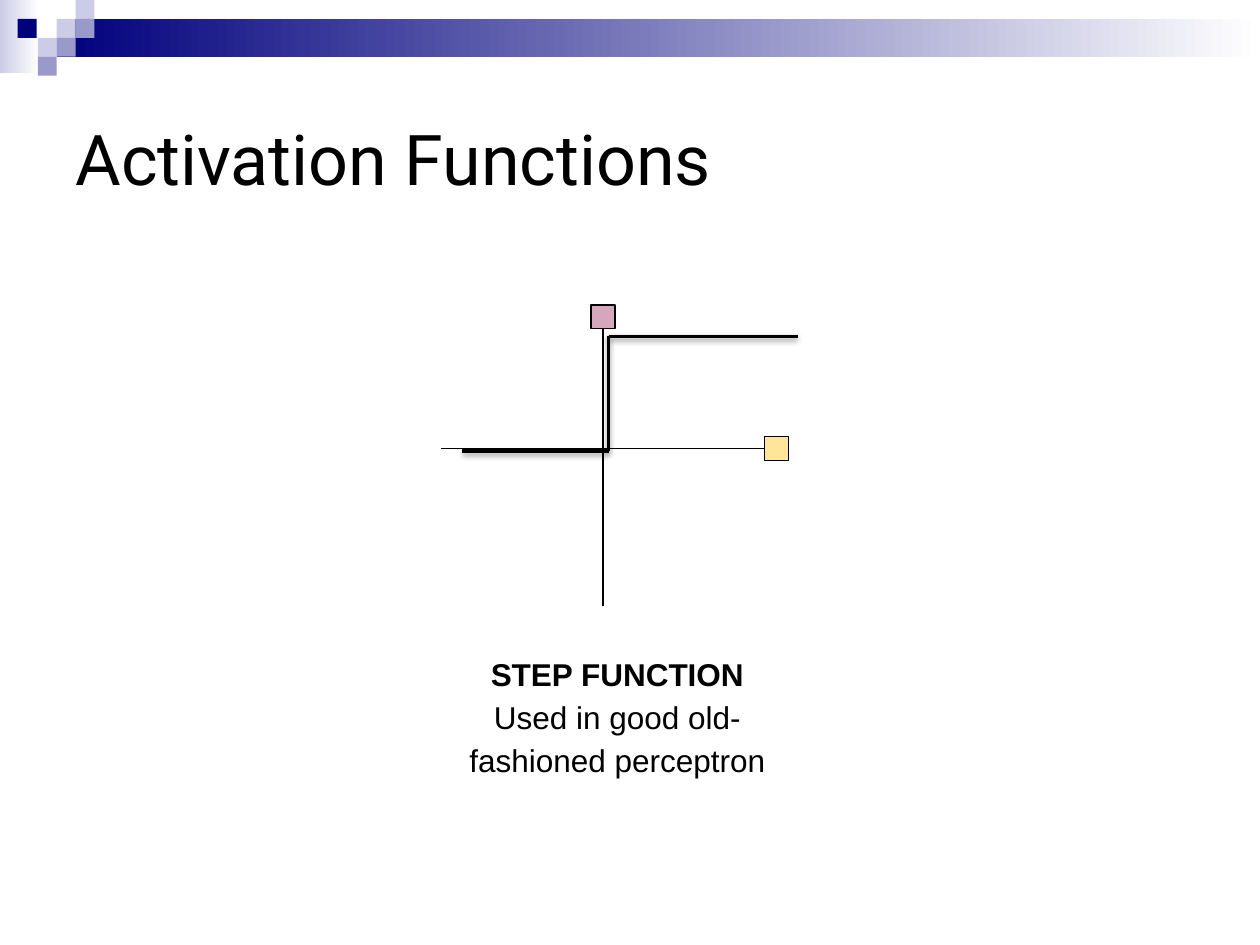
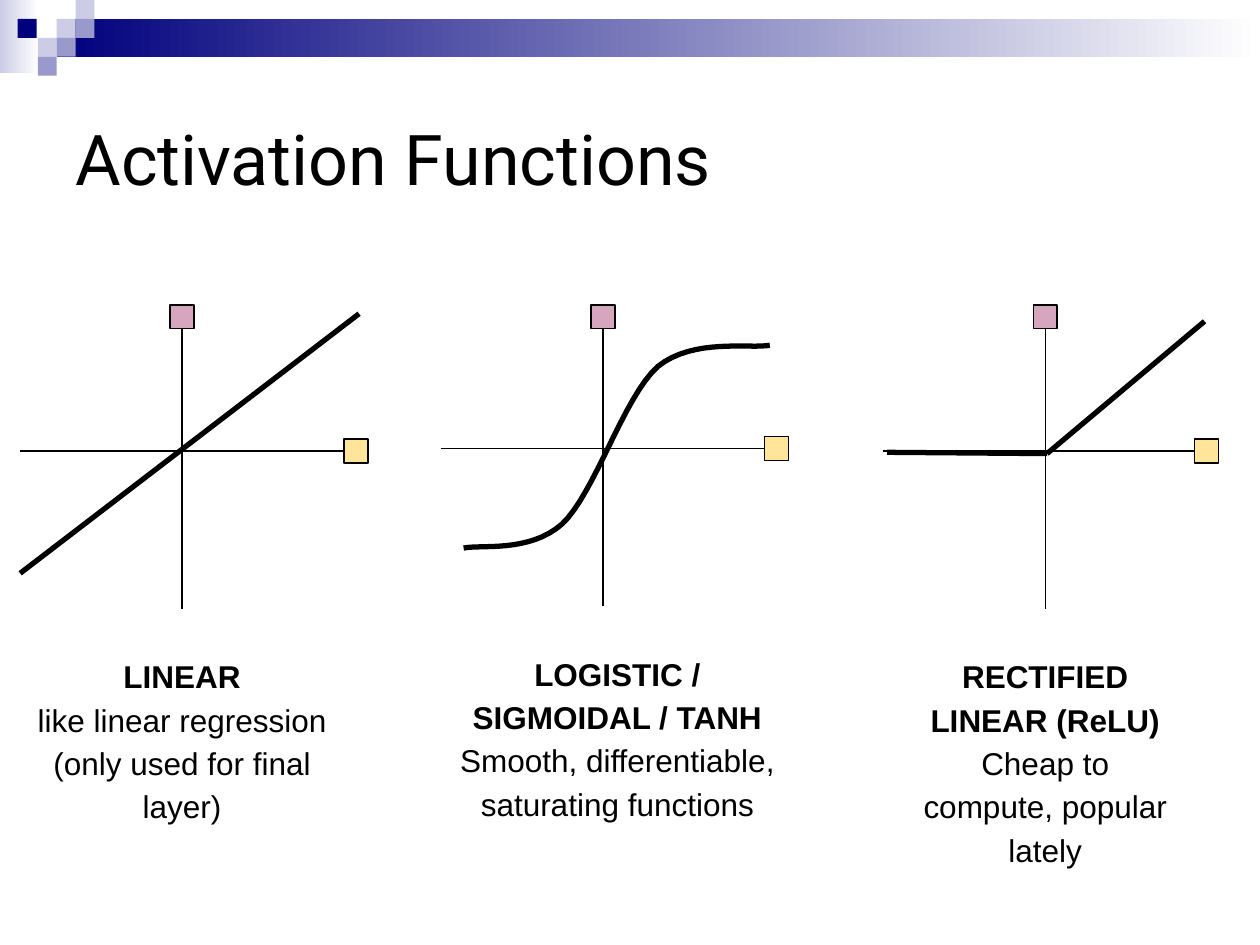
from lxml import etree
from pptx import Presentation
from pptx.dml.color import RGBColor
from pptx.enum import shapes, text
from pptx.oxml import ns
from pptx.util import Inches, Pt

HUE = {
    "ink": "000000", "white": "FFFFFF", "navy": "00007D",
    "pale": "CCCCE6", "mid": "9999CC", "gold": "FFE599", "pink": "D5A6BD",
}
TITLE = "Activation Functions"
TILE = 0.15
TILES = [
    (0.45, 1, "pale"), (0.6, 0, "pale"), (0.6, 1, "mid"), (0.3, 2, "pale"),
    (0.14, 1, "navy"), (0.45, 2, "mid"), (0.3, 3, "mid"),
]
KNOB = 0.19
SPAN = 2.57
STEP = [(3.67, 3.58), (4.83, 3.58), (4.83, 2.67), (6.33, 2.67)]
RAMP = [(0.16, 4.55), (2.85, 2.49)]
RELU = [(7.04, 3.59), (8.31, 3.6), (9.56, 2.55)]
SIGMOID = [
    [(3.68, 4.35), (3.81, 4.32), (4.2, 4.39), (4.46, 4.16)],
    [(4.46, 4.16), (4.72, 3.92), (4.95, 3.15), (5.22, 2.91)],
    [(5.22, 2.91), (5.5, 2.68), (5.96, 2.77), (6.11, 2.74)],
]


def rgb(name):
    return RGBColor.from_string(HUE[name])


def box(slide, x, y, w, h, fill, edge=None, fade=False):
    rect = slide.shapes.add_shape(
        shapes.MSO_SHAPE.RECTANGLE, Inches(x), Inches(y), Inches(w), Inches(h))
    rect.shadow.inherit = False
    if fade:
        rect.fill.gradient()
        rect.fill.gradient_angle = 0
        for stop, name in zip(rect.fill.gradient_stops, (fill, "white")):
            stop.color.rgb = rgb(name)
    else:
        rect.fill.solid()
        rect.fill.fore_color.rgb = rgb(fill)
    if edge:
        rect.line.color.rgb = rgb("ink")
        rect.line.width = Pt(edge)
    else:
        rect.line.fill.background()
    return rect


def line(slide, start, end, width=0.75, shade=False):
    (x1, y1), (x2, y2) = start, end
    rule = slide.shapes.add_connector(
        shapes.MSO_CONNECTOR.STRAIGHT, Inches(x1), Inches(y1), Inches(x2), Inches(y2))
    rule.line.color.rgb = rgb("ink")
    rule.line.width = Pt(width)
    effect = etree.SubElement(rule.element.spPr, ns.qn("a:effectLst"))
    if shade:
        cast = etree.SubElement(
            effect, ns.qn("a:outerShdw"), blurRad="40000", dist="20000",
            dir="5400000", rotWithShape="0")
        tint = etree.SubElement(cast, ns.qn("a:srgbClr"), val=HUE["ink"])
        etree.SubElement(tint, ns.qn("a:alpha"), val="38000")


def trace(slide, points, width=3, shade=False):
    for start, end in zip(points, points[1:]):
        line(slide, start, end, width, shade)


def bend(knots, t):
    weights = ((1 - t) ** 3, 3 * t * (1 - t) ** 2, 3 * t ** 2 * (1 - t), t ** 3)
    return tuple(Inches(sum(w * k[axis] for w, k in zip(weights, knots)))
                 for axis in (0, 1))


def curve(slide, parts, steps=16):
    points = [bend(part, i / steps) for part in parts for i in range(1, steps + 1)]
    pen = slide.shapes.build_freeform(*bend(parts[0], 0), scale=1.0)
    pen.add_line_segments(points, close=False)
    path = pen.convert_to_shape()
    path.shadow.inherit = False
    path.fill.background()
    path.line.color.rgb = rgb("ink")
    path.line.width = Pt(3)


def write(frame, lines, size=18, font="Arial", align="CENTER", space=1.15,
          anchor="TOP", inset=0.1, head=True):
    frame.word_wrap = True
    frame.auto_size = text.MSO_AUTO_SIZE.NONE
    frame.vertical_anchor = text.MSO_ANCHOR[anchor]
    frame.margin_left = frame.margin_right = Inches(0.1)
    frame.margin_top = frame.margin_bottom = Inches(inset)
    for i, words in enumerate(lines):
        para = frame.add_paragraph() if i else frame.paragraphs[0]
        para.alignment = text.PP_ALIGN[align]
        para.line_spacing = space
        run = para.add_run()
        run.text = words
        run.font.name = font
        run.font.size = Pt(size)
        run.font.bold = head and i == 0
        run.font.color.rgb = rgb("ink")


def label(slide, x, y, w, h, lines):
    area = slide.shapes.add_textbox(Inches(x), Inches(y), Inches(w), Inches(h))
    write(area.text_frame, lines)


def axes(slide, left, mid, back=0):
    center = left + SPAN / 2
    line(slide, (center, mid - 1.05), (center, mid + 1.25))
    line(slide, (left, mid), (left + SPAN, mid))
    box(slide, left + SPAN - back, mid - KNOB / 2, KNOB, KNOB, "gold", 0.75)
    box(slide, center - KNOB / 2, 2.42, KNOB, KNOB, "pink", 0.75)


def band(slide, layout):
    parts = [box(slide, 0, 0, 0.31, 0.58, "pale", fade=True),
             box(slide, 0.45, TILE, 9.55, 2 * TILE, "navy", fade=True)]
    parts += [box(slide, x, row * TILE, TILE, TILE, name) for x, row, name in TILES]
    for i, part in enumerate(parts):
        layout.shapes.element.insert(2 + i, part.element)


def page(deck, layout):
    slide = deck.slides.add_slide(layout)
    title = slide.shapes.title
    title.left, title.top, title.width, title.height = map(Inches, (0.5, 0.5, 9, 1.5))
    write(title.text_frame, [TITLE], size=40, font="Roboto", align="LEFT",
          space=1.0, anchor="MIDDLE", inset=0.05, head=False)
    return slide


def main():
    deck = Presentation()
    deck.slide_width, deck.slide_height = Inches(10), Inches(7.5)
    layout = deck.slide_layouts[5]

    slide = page(deck, layout)
    band(slide, layout)
    axes(slide, 3.5, 3.56)
    label(slide, 3.5, 5.05, 2.8, 1.4,
          ["STEP FUNCTION", "Used in good old-fashioned perceptron"])
    trace(slide, STEP, 2, True)

    slide = page(deck, layout)
    axes(slide, 0.16, 3.58)
    axes(slide, 3.5, 3.56)
    axes(slide, 7.01, 3.58, 0.1)
    trace(slide, RAMP)
    curve(slide, SIGMOID)
    trace(slide, RELU)
    label(slide, 0.15, 5.07, 2.59, 1.25,
          ["LINEAR", "like linear regression", "(only used for final layer)"])
    label(slide, 7.17, 5.07, 2.25, 1.25,
          ["RECTIFIED LINEAR (ReLU)", "Cheap to compute, popular lately"])
    label(slide, 3.5, 5.05, 2.8, 1.4,
          ["LOGISTIC / SIGMOIDAL / TANH", "Smooth, differentiable, saturating functions"])

    deck.save("out.pptx")


if __name__ == "__main__":
    main()
